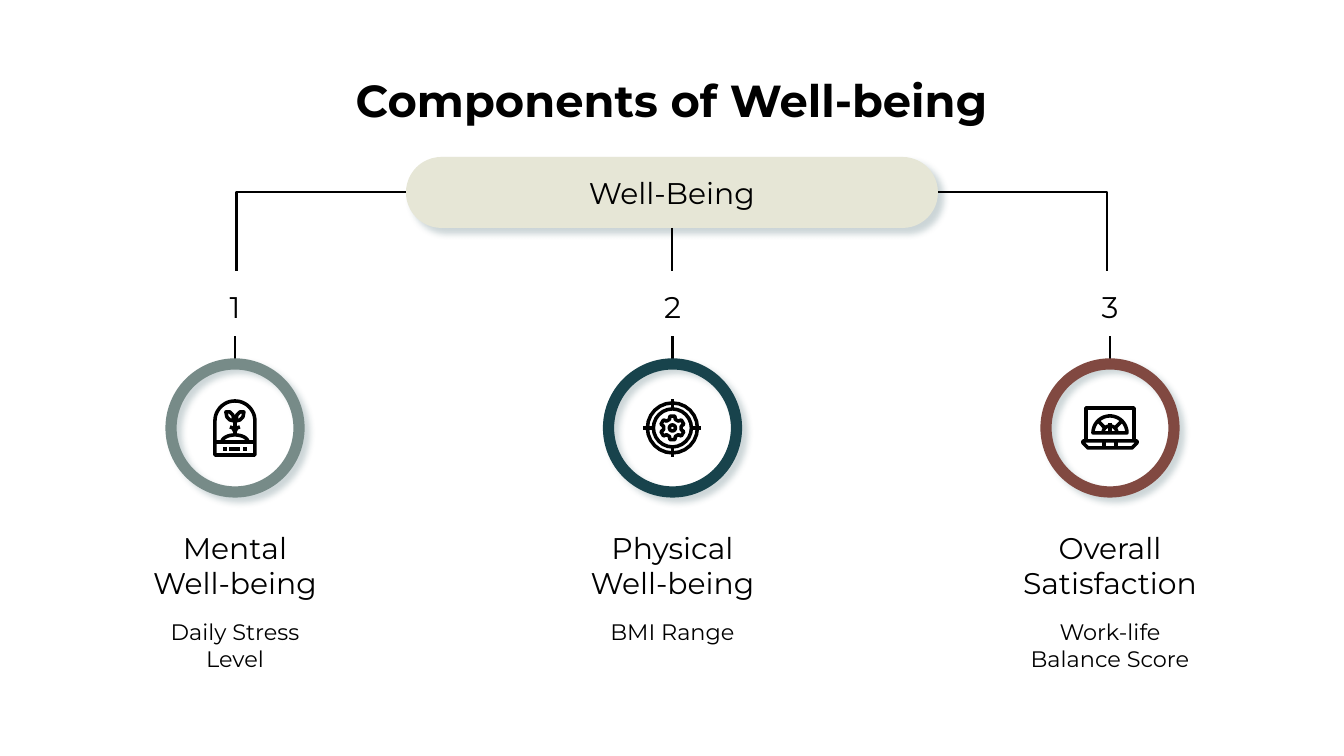
import math
import pptx
import pptx.dml.color
import pptx.enum.shapes
import pptx.enum.text
import pptx.oxml
import pptx.oxml.ns
import pptx.util

PX = 914400 / 134.4
INK = "000000"
SHAPES = pptx.enum.shapes.MSO_SHAPE
LINES = pptx.enum.shapes.MSO_CONNECTOR
ANCHOR = pptx.enum.text.MSO_ANCHOR


def arc(x, y, rx, ry, start, end, steps=24):
    angles = [math.radians(start + (end - start) * i / steps) for i in range(steps + 1)]
    return [(x + rx * math.cos(a), y + ry * math.sin(a)) for a in angles]


def ring(radius):
    return arc(0, 0, radius, radius, 0, 360), True


def mirrored(points):
    return [(-x, y) for x, y in points]


leaf = [(-9, -16), (-5, -16), (-2, -13), (-1, -7), (-5, -8), (-8, -11)]
root = [(-5, -1), (-2, 0), (0, 4)]
plant = [
    (arc(0, -7, 20, 20, 180, 360) + [(20, 27), (-20, 27)], True),
    ([(-20, 14), (20, 14)], False),
    (arc(0, 14, 13, 7, 180, 360), False),
    ([(0, 7), (0, -9)], False),
    (leaf, True), (mirrored(leaf), True),
    (root, False), (mirrored(root), False),
    ([(-6, 21), (5, 21)], False),
    ([(8, 21), (12, 21)], False),
    ([(-12, 21), (-8, 21)], False),
]

gear = [(r * math.cos(math.radians(a + d)), r * math.sin(math.radians(a + d)))
        for a in range(30, 390, 60) for r, d in [(9, -19), (12, -12), (12, 12), (9, 19)]]
target = [ring(25), ring(19), ring(3), (gear, True)]
target += [([(19 * x, 19 * y), (29 * x, 29 * y)], False)
           for x, y in [(1, 0), (0, 1), (-1, 0), (0, -1)]]

spoke = [(-13, -8), (-5, 0)]
laptop = [
    ([(-24, 13), (-24, -20), (24, -20), (24, 13)], False),
    ([(-27, 13), (27, 13), (27, 15), (22, 20), (-22, 20), (-27, 15)], True),
    ([(-6, 13), (-6, 20)], False), ([(6, 13), (6, 20)], False),
    (arc(0, 5, 17, 17, 180, 360), True),
    (arc(0, 5, 7, 7, 180, 360), False),
    ([(0, -5), (0, 5)], False),
    (spoke, False), (mirrored(spoke), False),
]

heading = "Components of Well-being"
root_label = "Well-Being"
components = [
    ("Mental Well-being", "Daily Stress Level", "778B88", plant),
    ("Physical Well-being", "BMI Range", "18434C", target),
    ("Overall Satisfaction", "Work-life Balance Score", "814941", laptop),
]
branches = [
    (LINES.ELBOW, (406, 192, 237, 271)),
    (LINES.ELBOW, (938, 192, 1107, 271)),
    (LINES.STRAIGHT, (672, 228, 672, 271)),
]
FIRST_CENTER, LAST_CENTER, RING_CENTER, RING_SIZE = 235, 1110, 428, 128


def px(*lengths):
    return [round(length * PX) for length in lengths]


def color(value):
    return pptx.dml.color.RGBColor.from_string(value)


def stroke(line, value, width):
    line.color.rgb = color(value)
    line.width = pptx.util.Pt(width)


def write(part, text, size, anchor=ANCHOR.TOP, bold=False):
    frame = part.text_frame
    inset = px(13)[0]
    layout = {"word_wrap": True, "auto_size": pptx.enum.text.MSO_AUTO_SIZE.NONE,
              "vertical_anchor": anchor, "margin_left": inset, "margin_right": inset,
              "margin_top": inset, "margin_bottom": inset}
    for name, value in layout.items():
        setattr(frame, name, value)
    paragraph = frame.paragraphs[0]
    paragraph.alignment = pptx.enum.text.PP_ALIGN.CENTER
    run = paragraph.add_run()
    run.text = text
    for name, value in {"name": "Montserrat", "size": pptx.util.Pt(size), "bold": bold}.items():
        setattr(run.font, name, value)
    run.font.color.rgb = color(INK)


def cast_shadow(part):
    part.shadow.inherit = False
    effects = part._element.spPr.find(pptx.oxml.ns.qn("a:effectLst"))
    effects.append(pptx.oxml.parse_xml(
        f'<a:outerShdw {pptx.oxml.ns.nsdecls("a")} blurRad="43180" dist="48260" dir="2700000" '
        'algn="bl" rotWithShape="0"><a:srgbClr val="18434C"><a:alpha val="22000"/>'
        '</a:srgbClr></a:outerShdw>'))


def connect(kind, ends):
    link = slide.shapes.add_connector(kind, *px(*ends))
    stroke(link.line, INK, 1.5)
    properties = link._element.spPr
    if kind == LINES.ELBOW:
        properties.find(pptx.oxml.ns.qn("a:prstGeom")).set("prst", "bentConnector2")
    properties.append(pptx.oxml.parse_xml(f'<a:effectLst {pptx.oxml.ns.nsdecls("a")}/>'))


def draw_icon(outlines, center):
    builder = None
    for points, closed in outlines:
        placed = [px(center + x, RING_CENTER + y) for x, y in points]
        if builder is None:
            builder = slide.shapes.build_freeform(*placed[0])
        else:
            builder.move_to(*placed[0])
        builder.add_line_segments(placed[1:], close=closed)
    icon = builder.convert_to_shape()
    icon.shadow.inherit = False
    icon.fill.background()
    stroke(icon.line, INK, 1.9)


def add_label(text, center, top, width, height, size, anchor):
    label = slide.shapes.add_textbox(*px(center - width / 2, top, width, height))
    write(label, text, size, anchor)


deck = pptx.Presentation()
deck.slide_width, deck.slide_height = px(1344, 756)
slide = deck.slides.add_slide(deck.slide_layouts[5])

title = slide.shapes.title
title.left, title.top, title.width, title.height = px(66, 60, 1211, 82)
write(title, heading, 24, bold=True)

pill = slide.shapes.add_shape(SHAPES.ROUNDED_RECTANGLE, *px(406, 157, 532, 71))
pill.adjustments[0] = 0.5
pill.fill.solid()
pill.fill.fore_color.rgb = color("E6E6D6")
pill.line.fill.background()
cast_shadow(pill)
write(pill, root_label, 16, ANCHOR.MIDDLE)

for kind, ends in branches:
    connect(kind, ends)

step = (LAST_CENTER - FIRST_CENTER) / (len(components) - 1)
for index, (name, measure, tint, outlines) in enumerate(components):
    center = FIRST_CENTER + index * step
    add_label(str(index + 1), center, 278, 72, 58, 16, ANCHOR.MIDDLE)
    connect(LINES.STRAIGHT, (center, 364, center, 336))
    draw_icon(outlines, center)
    circle = slide.shapes.add_shape(SHAPES.OVAL, *px(
        center - RING_SIZE / 2, RING_CENTER - RING_SIZE / 2, RING_SIZE, RING_SIZE))
    circle.fill.background()
    stroke(circle.line, tint, 6)
    cast_shadow(circle)
    add_label(name, center, 556, 212, 58, 16, ANCHOR.BOTTOM)
    add_label(measure, center, 605, 212, 106, 12, ANCHOR.TOP)

deck.save("out.pptx")
